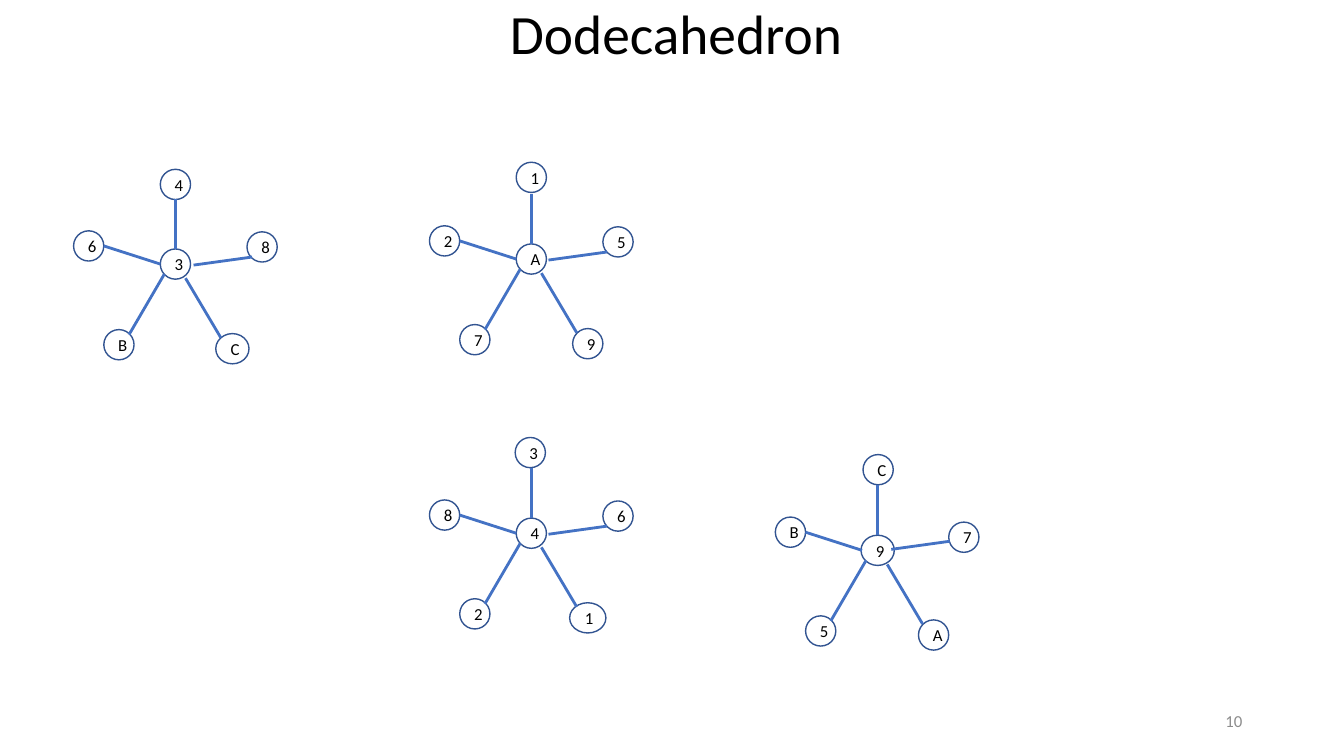
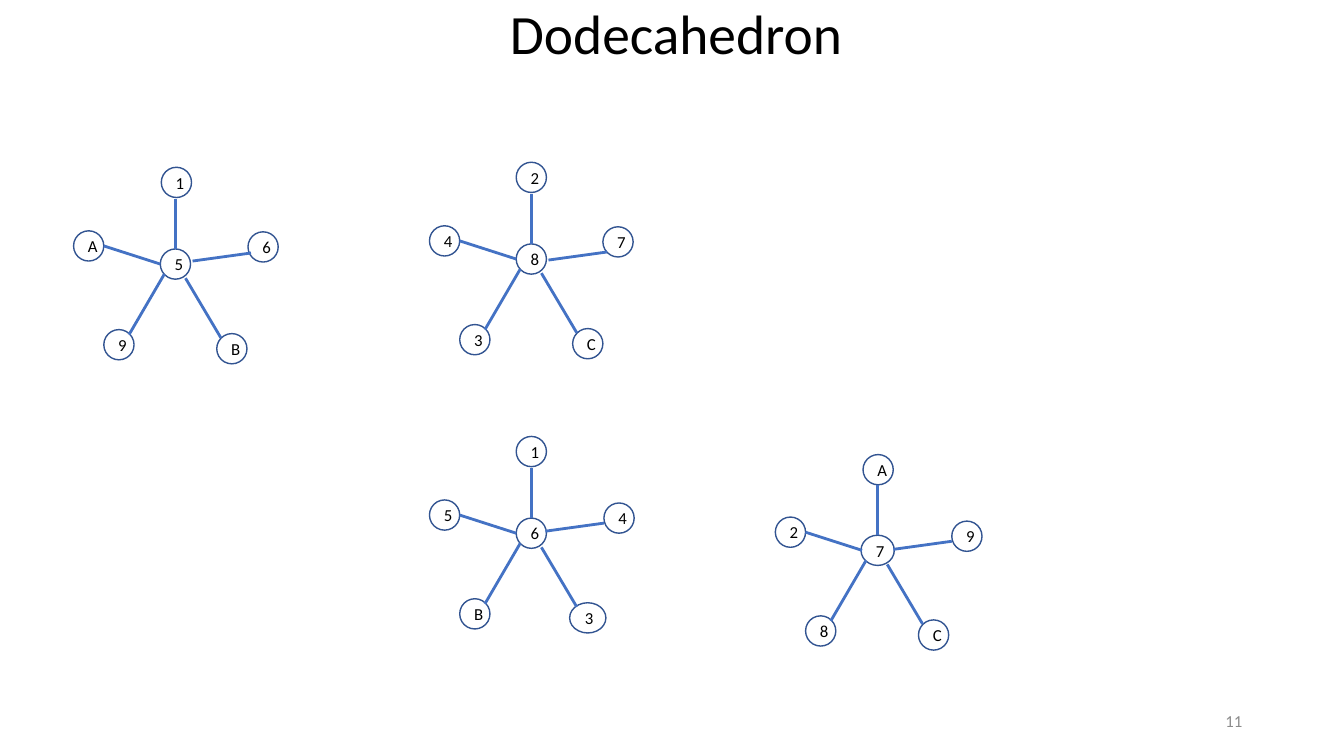
from lxml.etree import SubElement
from pptx import Presentation
from pptx.dml.color import RGBColor
from pptx.enum.shapes import MSO_CONNECTOR, MSO_SHAPE
from pptx.enum.text import MSO_ANCHOR, MSO_AUTO_SIZE, PP_ALIGN
from pptx.oxml.ns import qn
from pptx.util import Pt

SCALE = 9144
FONT = "Calibri"
BLACK, GREY, EDGE, SPOKE = "000000", "8C8C8C", "325491", "4472C4"
SIZE = 30

HUBS = [(174, 262, 30), (527, 257, 30), (527, 529, 30), (870, 546, 33)]
LINES = [
    (0, -65, 0, -15),
    (-71, -18, -15, 0),
    (17, 1, 75, -7),
    (-46, 70, -11, 10),
    (45, 73, 10, 14),
]
DECK = [
    ("10", [
        ("3468BC", (0, -79), (86, -17), (1, 0), 33),
        ("A12579", (0, -81), (86, -17), (0, 0), 30),
        ("438621", (-1, -80), (86, -17), (0, 0), 36),
        ("9CB75A", (1, -80), (86, -13), (-3, -2), 30),
    ]),
    ("11", [
        ("51A69B", (1, -81), (87, -17), (0, -4), 30),
        ("82473C", (0, -81), (86, -17), (0, 0), 30),
        ("6154B3", (0, -81), (87, -15), (-3, -3), 36),
        ("7A298C", (1, -80), (89, -14), (-1, -2), 30),
    ]),
]


def px(*nums):
    return [num * SCALE for num in nums]


def write(frame, text, size, color, align):
    frame.word_wrap = True
    frame.auto_size = MSO_AUTO_SIZE.NONE
    frame.vertical_anchor = MSO_ANCHOR.MIDDLE
    para = frame.paragraphs[0]
    para.alignment = align
    run = para.add_run()
    run.text = text
    run.font.name = FONT
    run.font.size = Pt(size)
    run.font.color.rgb = RGBColor.from_string(color)
    return para


prs = Presentation()
prs.slide_width, prs.slide_height = px(1333, 750)

for page, stars in DECK:
    slide = prs.slides.add_slide(prs.slide_layouts[5])
    shapes = slide.shapes
    title = shapes.title
    title.left, title.top, title.width, title.height = px(25, 5, 1291, 62)
    para = write(title.text_frame, "Dodecahedron", 39.6, BLACK, PP_ALIGN.CENTER)
    para.line_spacing = 0.9
    foot = shapes.add_textbox(*px(942, 695, 300, 40))
    write(foot.text_frame, page, 12, GREY, PP_ALIGN.RIGHT)

    for (x, y, hub), (marks, top, right, shift, last) in zip(HUBS, stars):
        spots = [(0, 0), top, (-86, -18), right, (-56, 80), (56, 84)]
        widths = [hub, SIZE, SIZE, SIZE, SIZE, last]
        for mark, (dx, dy), wide in zip(marks, spots, widths):
            box = px(x + dx - wide // 2, y + dy - SIZE // 2, wide, SIZE)
            node = shapes.add_shape(MSO_SHAPE.OVAL, *box)
            node.shadow.inherit = False
            node.fill.background()
            node.line.color.rgb = RGBColor.from_string(EDGE)
            node.line.width = Pt(1)
            write(node.text_frame, mark, 12, BLACK, PP_ALIGN.CENTER)

        for place, (ax, ay, bx, by) in enumerate(LINES):
            sx, sy = shift if place == 2 else (0, 0)
            ends = px(x + ax + sx, y + ay + sy, x + bx + sx, y + by + sy)
            line = shapes.add_connector(MSO_CONNECTOR.STRAIGHT, *ends)
            line.line.color.rgb = RGBColor.from_string(SPOKE)
            line.line.width = Pt(2)
            SubElement(line._element.spPr, qn("a:effectLst"))

prs.save("out.pptx")
